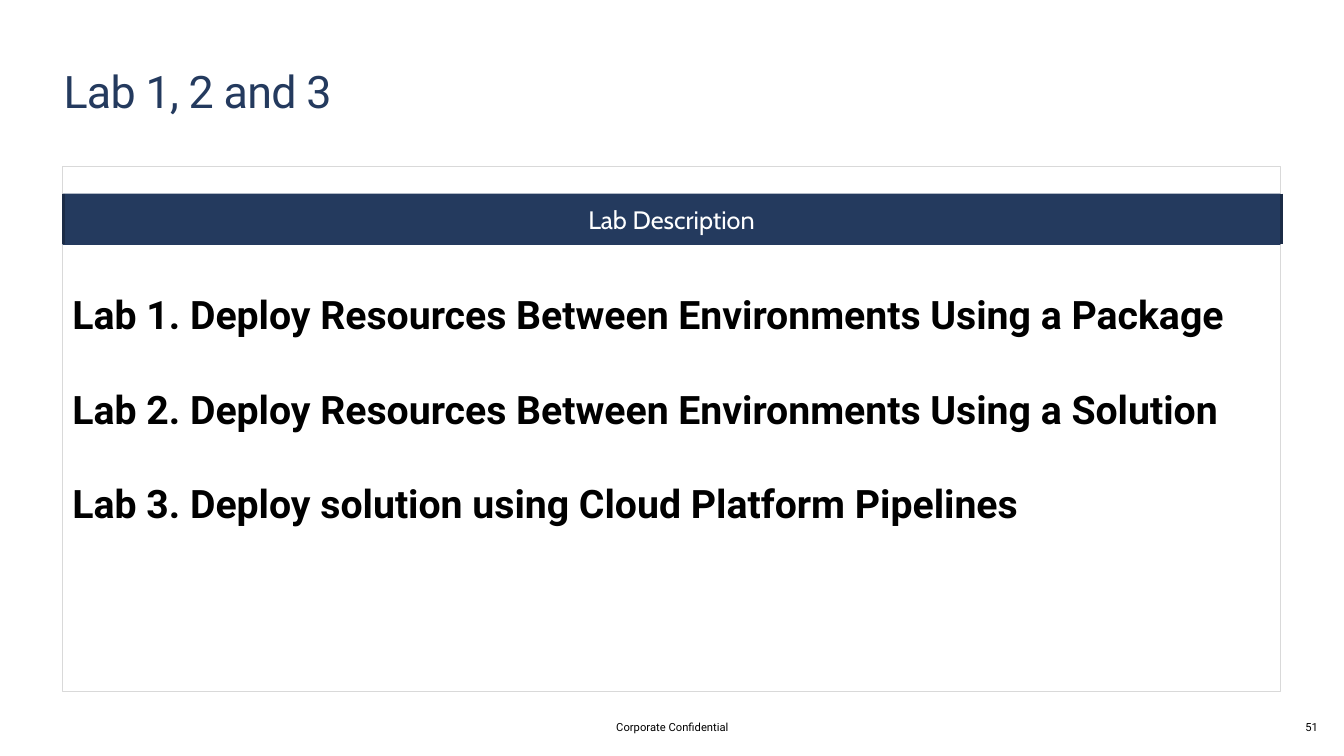
from dataclasses import dataclass

from lxml import etree
from pptx import Presentation
from pptx.dml.color import RGBColor
from pptx.enum.shapes import MSO_CONNECTOR, MSO_SHAPE
from pptx.enum.text import MSO_ANCHOR, PP_ALIGN
from pptx.oxml.ns import qn
from pptx.shapes.autoshape import Shape
from pptx.slide import Slide
from pptx.util import Inches, Pt

LEFT, CENTER = PP_ALIGN.LEFT, PP_ALIGN.CENTER
TOP, MIDDLE = MSO_ANCHOR.TOP, MSO_ANCHOR.MIDDLE
RECTANGLE, STRAIGHT = MSO_SHAPE.RECTANGLE, MSO_CONNECTOR.STRAIGHT

COLORS = {
    "navy": "243A5E",
    "edge": "1B2B46",
    "frame": "D9D9D9",
    "black": "000000",
    "white": "FFFFFF",
}

PANEL_LEFT, PANEL_WIDTH = 0.62, 12.08
BANNER_TOP, BANNER_HEIGHT = 1.92, 0.51
FOOTER_TOP, FOOTER_HEIGHT = 7.15, 0.13


@dataclass(frozen=True)
class Box:
    left: float
    top: float
    width: float
    height: float


@dataclass(frozen=True)
class TextStyle:
    size: float
    color: str
    font: str = "Roboto"
    bold: bool = False
    alignment: PP_ALIGN = LEFT
    anchor: MSO_ANCHOR = TOP
    side_inset: float = 0
    top_inset: float = 0
    gap: float = 0
    line_spacing: float | None = None
    tracking: float = 0


@dataclass(frozen=True)
class TextBlock:
    box: Box
    lines: tuple[str, ...]
    style: TextStyle


TITLE_STYLE = TextStyle(32, "navy", line_spacing=36.2, tracking=-0.5)
BANNER_STYLE = TextStyle(18, "white", font="Cabin", alignment=CENTER, anchor=MIDDLE)
LABS_STYLE = TextStyle(28, "black", bold=True, side_inset=0.1, top_inset=0.32, gap=34)
FOOTER_STYLE = TextStyle(8, "black", alignment=CENTER, anchor=MIDDLE)

FRAME = Box(PANEL_LEFT, 1.65, PANEL_WIDTH, 5.21)
BANNER = Box(PANEL_LEFT, BANNER_TOP, PANEL_WIDTH, BANNER_HEIGHT)
BANNER_EDGES = (0.63, 12.71)

TEXT_BLOCKS = (
    TextBlock(Box(0.63, 0.66, 12.05, 0.5), ("Lab 1, 2 and 3",), TITLE_STYLE),
    TextBlock(
        Box(PANEL_LEFT, 2.56, PANEL_WIDTH, 4.01),
        (
            "Lab 1. Deploy Resources Between Environments Using a Package",
            "Lab 2. Deploy Resources Between Environments Using a Solution",
            "Lab 3. Deploy solution using Cloud Platform Pipelines",
        ),
        LABS_STYLE,
    ),
    TextBlock(Box(4.42, FOOTER_TOP, 4.5, FOOTER_HEIGHT), ("Corporate Confidential",), FOOTER_STYLE),
    TextBlock(Box(12.79, FOOTER_TOP, 0.44, FOOTER_HEIGHT), ("51",), FOOTER_STYLE),
)


def rgb(name: str) -> RGBColor:
    return RGBColor.from_string(COLORS[name])


def inches(box: Box) -> tuple[Inches, ...]:
    return tuple(Inches(value) for value in (box.left, box.top, box.width, box.height))


def write_text(shape: Shape, lines: tuple[str, ...], style: TextStyle) -> None:
    frame = shape.text_frame
    frame.word_wrap = True
    frame.vertical_anchor = style.anchor
    frame.margin_left = frame.margin_right = Inches(style.side_inset)
    frame.margin_top, frame.margin_bottom = Inches(style.top_inset), 0
    for index, line in enumerate(lines):
        paragraph = frame.add_paragraph() if index else frame.paragraphs[0]
        paragraph.alignment = style.alignment
        if index:
            paragraph.space_before = Pt(style.gap)
        if style.line_spacing:
            paragraph.line_spacing = Pt(style.line_spacing)
        run = paragraph.add_run()
        run.text = line
        run.font.name = style.font
        run.font.size = Pt(style.size)
        run.font.bold = style.bold
        run.font.color.rgb = rgb(style.color)
        if style.tracking:
            run.font._element.set("spc", str(round(style.tracking * 100)))


def add_text(slide: Slide, block: TextBlock) -> None:
    write_text(slide.shapes.add_textbox(*inches(block.box)), block.lines, block.style)


def add_rectangle(slide: Slide, box: Box) -> Shape:
    """Add a rectangle with no shadow, fill or line."""
    shape = slide.shapes.add_shape(RECTANGLE, *inches(box))
    shape.shadow.inherit = False
    shape.fill.background()
    shape.line.fill.background()
    return shape


def add_frame(slide: Slide) -> None:
    frame = add_rectangle(slide, FRAME)
    frame.line.color.rgb = rgb("frame")
    frame.line.width = Pt(0.25)


def add_banner(slide: Slide) -> None:
    banner = add_rectangle(slide, BANNER)
    banner.fill.solid()
    banner.fill.fore_color.rgb = rgb("navy")
    write_text(banner, ("Lab Description",), BANNER_STYLE)
    top, bottom = Inches(BANNER_TOP), Inches(BANNER_TOP + 0.5)
    for position in BANNER_EDGES:
        edge = slide.shapes.add_connector(
            STRAIGHT, Inches(position), top, Inches(position), bottom
        )
        edge.line.color.rgb = rgb("edge")
        edge.line.width = Pt(2.25)
        etree.SubElement(edge._element.spPr, qn("a:effectLst"))


def main() -> None:
    presentation = Presentation()
    presentation.slide_width = Inches(13.33)
    presentation.slide_height = Inches(7.5)
    slide = presentation.slides.add_slide(presentation.slide_layouts[6])
    add_frame(slide)
    add_banner(slide)
    for block in TEXT_BLOCKS:
        add_text(slide, block)
    presentation.save("out.pptx")


if __name__ == "__main__":
    main()
